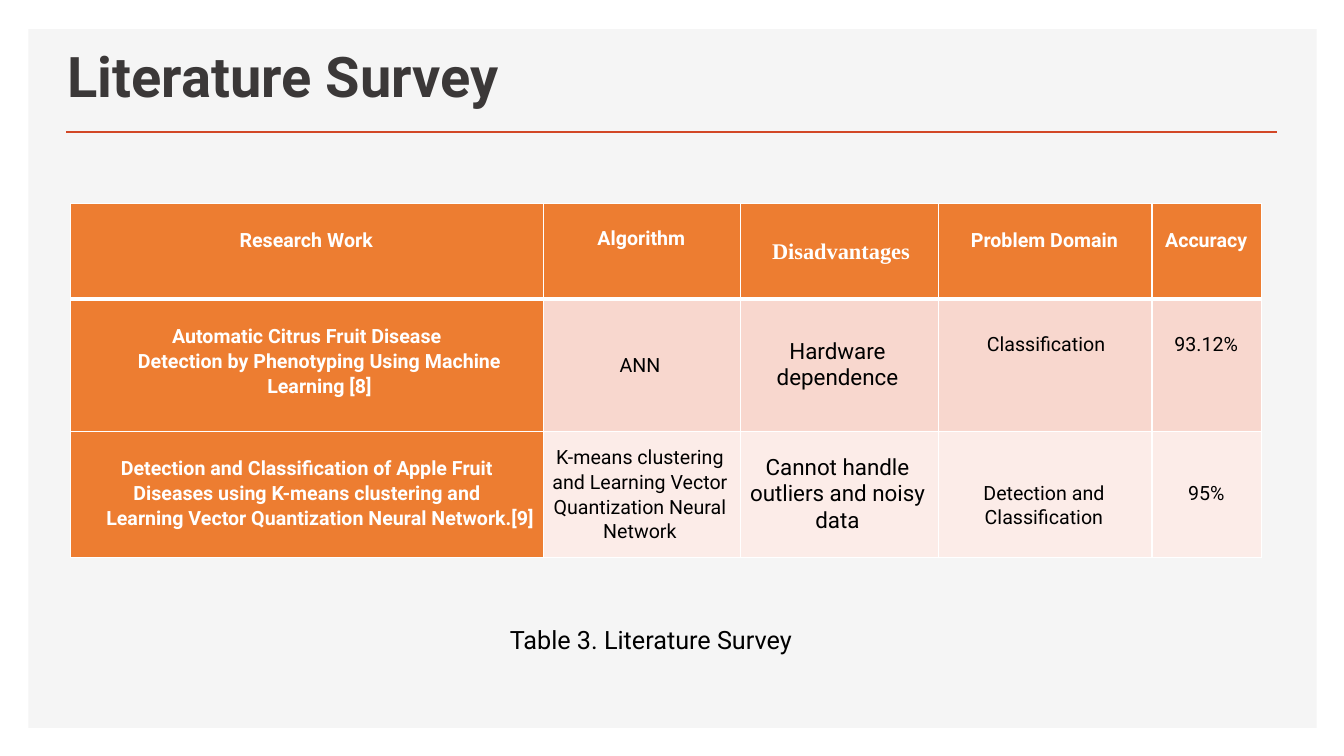
from lxml import etree
from pptx import Presentation
from pptx import util as u
from pptx.dml.color import RGBColor
from pptx.enum import shapes, text
from pptx.oxml import ns

COLORS = {
    "panel": "F5F5F5", "rule": "D24726", "title": "3B3838", "orange": "ED7D31",
    "band_dark": "F8D7CE", "band_light": "FCECE8", "white": "FFFFFF", "black": "000000",
}


def write(para, words, size=14, color="black", bold=False, font="Roboto",
          align=None, indent=0, spacing=None):
    para.alignment = align
    para.line_spacing = spacing
    if indent:
        para._p.get_or_add_pPr().set("marL", str(u.Pt(indent)))
    span = para.add_run()
    span.text = words
    span.font.name = font
    span.font.size = u.Pt(size)
    span.font.bold = bold
    span.font.color.rgb = RGBColor.from_string(COLORS[color])


deck = Presentation()
deck.slide_width, deck.slide_height = u.Pt(960), u.Pt(540)
page = deck.slides.add_slide(deck.slide_layouts[5])

# Background panel, behind everything
panel = page.shapes.add_shape(shapes.MSO_SHAPE.RECTANGLE,
                              u.Pt(20.2), u.Pt(20.9), u.Pt(920.2), u.Pt(499))
panel.shadow.inherit = False
panel.fill.solid()
panel.fill.fore_color.rgb = RGBColor.from_string(COLORS["panel"])
panel.line.fill.background()
page.shapes._spTree.insert(2, panel._element)

# Title
title = page.shapes.title
title.left, title.top, title.width, title.height = u.Pt(41), u.Pt(31.7), u.Pt(541.4), u.Pt(50.4)
title.text_frame.auto_size = text.MSO_AUTO_SIZE.NONE
title.text_frame.vertical_anchor = text.MSO_ANCHOR.BOTTOM
write(title.text_frame.paragraphs[0], "Literature Survey", size=40, color="title",
      bold=True, align=text.PP_ALIGN.LEFT, spacing=0.9)

# Rule under the title
rule = page.shapes.add_connector(shapes.MSO_CONNECTOR.STRAIGHT,
                                 u.Pt(47.5), u.Pt(94.3), u.Pt(912.2), u.Pt(94.3))
rule.line.color.rgb = RGBColor.from_string(COLORS["rule"])
rule.line.width = u.Pt(2)
etree.SubElement(rule._element.spPr, ns.qn("a:effectLst"))

# Each cell: lines of (words, left indent), top margin (None = middle), right margin
LINE = 17.5
ROWS = [
    [([("Research Work", 5)], LINE, 6),
     ([("Algorithm", 5)], 16, 6),
     ([("Disadvantages", 5)], None, 3),
     ([("Problem Domain", 5)], LINE, 6),
     ([("Accuracy", 5)], LINE, 6)],
    [([("Automatic Citrus Fruit Disease", 5.8),
       ("Detection by Phenotyping Using Machine Learning [8]", 24)], LINE, 6),
     ([("ANN", 0)], None, 3),
     ([("Hardware dependence", 0)], None, 3),
     ([("Classification", 4.3)], LINE + 5.8, 3),
     ([("93.12%", 5)], LINE + 5.8, 6)],
    [([("Detection and Classification of Apple Fruit", 5),
       ("Diseases using K-means clustering and", 5),
       ("Learning Vector Quantization Neural Network.[9]", 24)], LINE, 5),
     ([("K-means clustering and Learning Vector Quantization Neural Network", 0)], None, 3),
     ([("Cannot handle outliers and noisy data", 0)], None, 3),
     ([("Detection and Classification", 4.3)], 2 * LINE, 6),
     ([("95%", 5)], 2 * LINE, 6)],
]
WIDTHS = [337.7, 141.1, 141.1, 152.6, 78.5]
HEIGHTS = [68.4, 94.3, 90]
BANDS = ["orange", "band_dark", "band_light"]

# Survey table
table = page.shapes.add_table(len(ROWS), len(WIDTHS), u.Pt(50.4), u.Pt(145.4),
                              u.Pt(sum(WIDTHS)), u.Pt(sum(HEIGHTS))).table
for column, width in zip(table.columns, WIDTHS):
    column.width = u.Pt(width)

for r, (cells, height) in enumerate(zip(ROWS, HEIGHTS)):
    table.rows[r].height = u.Pt(height)
    for c, (lines, top, right) in enumerate(cells):
        cell = table.cell(r, c)
        strong = r == 0 or c == 0

        # White borders, thicker under the header
        for side in ("lnL", "lnR", "lnT", "lnB"):
            thick = (r, side) in ((0, "lnB"), (1, "lnT"))
            edge = etree.SubElement(cell._tc.get_or_add_tcPr(), ns.qn("a:" + side),
                                    w=str(u.Pt(3 if thick else 1)))
            paint = etree.SubElement(edge, ns.qn("a:solidFill"))
            etree.SubElement(paint, ns.qn("a:srgbClr"), val=COLORS["white"])
        cell.fill.solid()
        cell.fill.fore_color.rgb = RGBColor.from_string(COLORS["orange" if strong else BANDS[r]])

        cell.margin_left = cell.margin_bottom = 0
        cell.margin_top, cell.margin_right = u.Pt(top or 0), u.Pt(right)
        cell.vertical_anchor = text.MSO_ANCHOR.MIDDLE if top is None else text.MSO_ANCHOR.TOP
        for i, (words, indent) in enumerate(lines):
            para = cell.text_frame.add_paragraph() if i else cell.text_frame.paragraphs[0]
            write(para, words, size=16 if c == 2 else 14,
                  color="white" if strong else "black", bold=strong,
                  font="Times New Roman" if (r, c) == (0, 2) else "Roboto",
                  align=text.PP_ALIGN.CENTER, indent=indent,
                  spacing=1.0 if c == 2 and r else 1.07)

# Caption
caption = page.shapes.add_textbox(u.Pt(357.1), u.Pt(442.1), u.Pt(412.6), u.Pt(28.8))
caption.text_frame.word_wrap = True
write(caption.text_frame.paragraphs[0], "Table 3. Literature Survey", size=18)

deck.save("out.pptx")
